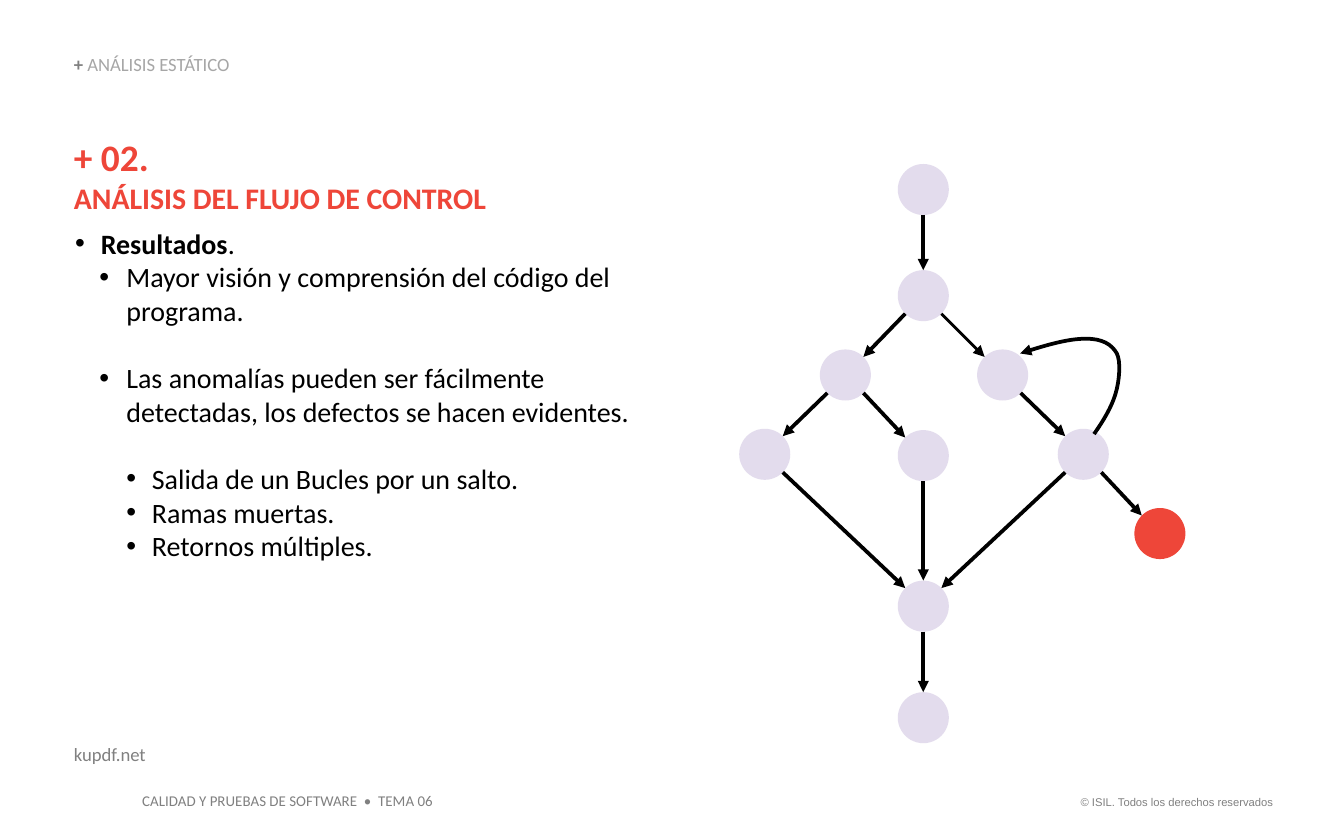
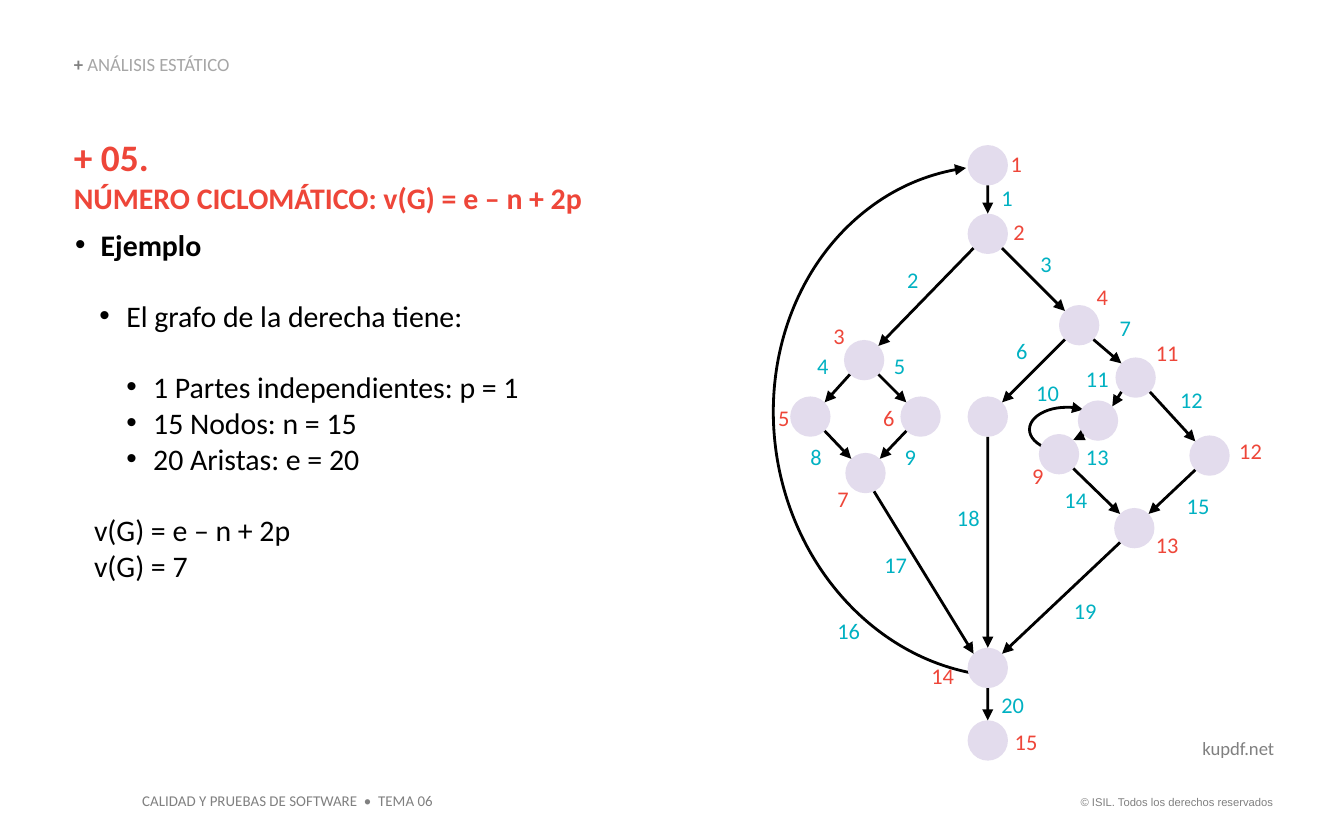
import math
from dataclasses import dataclass
from typing import Any, Optional

from lxml import etree
from pptx import Presentation
from pptx.dml.color import RGBColor
from pptx.enum.shapes import MSO_CONNECTOR, MSO_SHAPE
from pptx.enum.text import MSO_ANCHOR, MSO_AUTO_SIZE, PP_ALIGN
from pptx.oxml.ns import qn
from pptx.util import Inches, Pt

STRAIGHT = MSO_CONNECTOR.STRAIGHT
ELLIPSE, ARC = MSO_SHAPE.OVAL, MSO_SHAPE.ARC
LEFT, RIGHT = PP_ALIGN.LEFT, PP_ALIGN.RIGHT
TOP, BOTTOM = MSO_ANCHOR.TOP, MSO_ANCHOR.BOTTOM
GROW = MSO_AUTO_SIZE.SHAPE_TO_FIT_TEXT

COLORS = {
    "accent": "EE4639",
    "edge_label": "00B1C2",
    "node": "E3DCED",
    "ink": "000000",
    "gray": "808080",
    "light_gray": "A6A6A6",
}
FONT = "Calibri"
MARGIN = 0.55
DOWN, DOWN_LEFT, DOWN_RIGHT, UP = 90, 135, 45, 270  # degrees, clockwise from the right


@dataclass
class Item:
    """A body paragraph; gap is the space before it in points."""
    text: str
    level: int = 0
    margin: float = 0.2
    indent: float = -0.19
    gap: float = 0
    bold: bool = False
    tail: str = ""
    bullet: bool = True


@dataclass
class Node:
    x: float
    y: float
    color: str = "node"


@dataclass
class Edge:
    """An arrow that leaves and reaches circles at the given angles."""
    source: int
    target: int
    leave: float
    arrive: Optional[float] = None
    width: Optional[float] = None


@dataclass
class Arc:
    left: float
    top: float
    width: float
    height: float
    rotation: float
    start: float
    end: float


def rgb(name: str) -> RGBColor:
    return RGBColor.from_string(COLORS[name])


def apply(target: Any, values: dict[str, Any]) -> None:
    for name, value in values.items():
        setattr(target, name, value)


def add_run(paragraph: Any, text: str, size: float, color: str,
            bold: bool = False, font: str = FONT) -> None:
    run = paragraph.add_run()
    run.text = text
    apply(run.font, {"name": font, "size": Pt(size), "bold": bold})
    run.font.color.rgb = rgb(color)


def add_box(slide: Any, left: float, top: float, width: float, height: float,
            wrap: bool = True, align: Any = LEFT, anchor: Any = TOP) -> Any:
    """Adds a text box and returns its text frame; only wrapping boxes lose their insets."""
    box = slide.shapes.add_textbox(Inches(left), Inches(top), Inches(width), Inches(height))
    frame = box.text_frame
    apply(frame, {"word_wrap": wrap, "auto_size": GROW, "vertical_anchor": anchor})
    if wrap:
        apply(frame, {f"margin_{side}": 0 for side in ("left", "top", "right", "bottom")})
    frame.paragraphs[0].alignment = align
    return frame


def add_frame(slide: Any) -> None:
    """Adds the heading and footers that every slide carries."""
    legal = add_box(slide, 7.88, 5.87, 1.69, 0.2, wrap=False, align=RIGHT)
    add_run(legal.paragraphs[0], "© ISIL. Todos los derechos reservados", 6, "gray", font="Arial")
    course = add_box(slide, 0.96, 5.84, 2.37, 0.24, wrap=False)
    add_run(course.paragraphs[0], "CALIDAD Y PRUEBAS DE SOFTWARE  •  TEMA 06", 8, "gray")
    heading = add_box(slide, MARGIN, 0.41, 3.61, 0.15, anchor=BOTTOM).paragraphs[0]
    heading.line_spacing = 0.9
    add_run(heading, "+ ", 10, "gray", bold=True)
    add_run(heading, "ANÁLISIS ESTÁTICO", 10, "light_gray")


def add_reference(slide: Any, left: float, top: float, width: float, align: Any) -> None:
    frame = add_box(slide, left, top, width, 0.17, align=align)
    add_run(frame.paragraphs[0], "kupdf.net", 10, "gray")


def add_bullet(properties: Any) -> None:
    color = etree.SubElement(properties, qn("a:buClr"))
    etree.SubElement(color, qn("a:srgbClr"), val=COLORS["ink"])
    etree.SubElement(properties, qn("a:buFont"), typeface="Arial")
    etree.SubElement(properties, qn("a:buChar"), char="•")


def add_body(slide: Any, number: str, title: str, items: list[Item],
             size: float, width: float, height: float) -> None:
    frame = add_box(slide, MARGIN, 1, width, height)
    paragraph = frame.paragraphs[0]
    paragraph.space_after = Pt(6)
    add_run(paragraph, f"+ {number}.", 20, "accent", bold=True)
    paragraph.add_line_break()
    add_run(paragraph, title, 16, "accent", bold=True)
    for item in items:
        paragraph = frame.add_paragraph()
        apply(paragraph, {"level": item.level, "space_before": Pt(item.gap)})
        properties = paragraph._p.get_or_add_pPr()
        properties.set("marL", str(Inches(item.margin)))
        properties.set("indent", str(Inches(item.indent)))
        if item.bullet:
            add_bullet(properties)
        add_run(paragraph, item.text, size, "ink", bold=item.bold)
        if item.tail:
            add_run(paragraph, item.tail, size, "ink")


def style_arrow(shape: Any, width: float) -> None:
    shape.line.width = Pt(width)
    shape.line.color.rgb = rgb("ink")
    etree.SubElement(shape.line._get_or_add_ln(), qn("a:tailEnd"), type="triangle")


def add_graph(slide: Any, nodes: dict[int, Node], edges: list[Edge],
              diameter: float, width: float) -> None:
    radius = diameter / 2
    circles = {}
    for number, node in nodes.items():
        circle = slide.shapes.add_shape(
            ELLIPSE, Inches(node.x - radius), Inches(node.y - radius),
            Inches(diameter), Inches(diameter))
        circle.shadow.inherit = False
        circle.fill.solid()
        circle.fill.fore_color.rgb = rgb(node.color)
        circle.line.fill.background()
        circles[number] = circle

    def rim(number: int, angle: float) -> tuple[int, int]:
        node, turn = nodes[number], math.radians(angle)
        return (Inches(node.x + radius * math.cos(turn)),
                Inches(node.y + radius * math.sin(turn)))

    for edge in edges:
        arrive = edge.leave + 180 if edge.arrive is None else edge.arrive
        connector = slide.shapes.add_connector(
            STRAIGHT, *rim(edge.source, edge.leave), *rim(edge.target, arrive))
        if arrive == UP:
            connector.end_connect(circles[edge.target], 0)
        style_arrow(connector, edge.width or width)
        etree.SubElement(connector._element.spPr, qn("a:effectLst"))


def add_curve(slide: Any, points: list[tuple[float, float]], width: float) -> None:
    """Draws a cubic Bézier path: a start, then three points per segment."""
    start, *rest = [(Inches(x), Inches(y)) for x, y in points]
    builder = slide.shapes.build_freeform(*start)
    builder.add_line_segments(rest, close=False)
    curve = builder.convert_to_shape()
    outline = curve._element.spPr.find(".//" + qn("a:path"))
    segments = outline.findall(qn("a:lnTo"))
    for first in range(0, len(segments), 3):
        cubic = etree.SubElement(outline, qn("a:cubicBezTo"))
        for segment in segments[first:first + 3]:
            cubic.append(segment[0])
            outline.remove(segment)
    curve.shadow.inherit = False
    curve.fill.background()
    style_arrow(curve, width)


def add_arc(slide: Any, arc: Arc, width: float) -> None:
    shape = slide.shapes.add_shape(
        ARC, Inches(arc.left), Inches(arc.top), Inches(arc.width), Inches(arc.height))
    shape.rotation = arc.rotation
    shape.adjustments[0] = arc.start
    shape.adjustments[1] = arc.end
    shape.shadow.inherit = False
    shape.fill.background()
    style_arrow(shape, width)


def add_labels(slide: Any, labels: dict[int, tuple[float, float]], color: str) -> None:
    for number, (left, top) in labels.items():
        frame = add_box(slide, left, top, 0.18, 0.2)
        add_run(frame.paragraphs[0], str(number), 12, color)


def build_control_flow(slide: Any) -> None:
    add_frame(slide)
    second = {"level": 1, "margin": 0.39, "indent": -0.2}
    third = {"level": 2, "margin": 0.58}
    add_body(slide, "02", "ANÁLISIS DEL FLUJO DE CONTROL", [
        Item("Resultados", bold=True, tail="."),
        Item("Mayor visión y comprensión del código del programa.", **second),
        Item("Las anomalías pueden ser fácilmente detectadas, los defectos se hacen evidentes.",
             gap=18, **second),
        Item("Salida de un Bucles por un salto.", gap=18, **third),
        Item("Ramas muertas.", **third),
        Item("Retornos múltiples.", **third),
    ], size=15, width=4.25, height=3.21)
    add_reference(slide, MARGIN, 5.53, 1.88, LEFT)
    axis = 6.87
    nodes = {
        1: Node(axis, 1.41), 2: Node(axis, 2.2), 3: Node(6.29, 2.79), 4: Node(7.46, 2.79),
        5: Node(5.69, 3.38), 6: Node(axis, 3.39), 7: Node(8.06, 3.38),
        8: Node(axis, 4.51), 9: Node(axis, 5.34), 10: Node(8.63, 3.97, "accent"),
    }
    edges = [
        Edge(1, 2, DOWN), Edge(2, 3, DOWN_LEFT), Edge(2, 4, DOWN_RIGHT, width=1.5),
        Edge(3, 5, DOWN_LEFT), Edge(3, 6, DOWN_RIGHT), Edge(4, 7, DOWN_RIGHT),
        Edge(5, 8, DOWN_RIGHT), Edge(6, 8, DOWN), Edge(7, 8, DOWN_LEFT),
        Edge(7, 10, DOWN_RIGHT), Edge(8, 9, DOWN),
    ]
    add_graph(slide, nodes, edges, diameter=0.38, width=2)
    add_curve(slide, [
        (8.14, 3.23), (8.21, 3.13), (8.27, 3.03), (8.3, 2.93),
        (8.33, 2.83), (8.34, 2.69), (8.31, 2.63),
        (8.27, 2.56), (8.2, 2.52), (8.08, 2.52),
        (7.96, 2.52), (7.77, 2.57), (7.59, 2.63)], width=2)


def build_cyclomatic_number(slide: Any) -> None:
    add_frame(slide)
    third = {"level": 2, "margin": 0.59, "indent": -0.2}
    formula = {"level": 1, "margin": 0.15, "indent": 0, "bullet": False}
    add_body(slide, "05", "NÚMERO CICLOMÁTICO: v(G) = e – n + 2p", [
        Item("Ejemplo", bold=True),
        Item("El grafo de la derecha tiene:", level=1, margin=0.39, indent=-0.2, gap=19),
        Item("1 Partes independientes: p = 1", gap=19, **third),
        Item("15 Nodos: n = 15", **third),
        Item("20 Aristas: e = 20", **third),
        Item("v(G) = e – n + 2p", gap=19, **formula),
        Item("v(G) = 7", **formula),
    ], size=16, width=4.87, height=3.38)
    add_reference(slide, 8.46, 5.48, 1.02, RIGHT)
    add_arc(slide, Arc(5.55, 1.44, 3.81, 3.39, 260.4, 117.92, 0.92), width=1.5)
    add_arc(slide, Arc(7.77, 2.92, 0.33, 0.55, 270, 129.54, 24.14), width=1.5)
    axis = 7.35
    nodes = {
        1: Node(axis, 1.23), 2: Node(axis, 1.74), 3: Node(6.43, 2.68), 4: Node(8.03, 2.42),
        5: Node(6.03, 3.1), 6: Node(6.85, 3.1), 7: Node(6.44, 3.52), 8: Node(axis, 3.1),
        9: Node(7.88, 3.38), 10: Node(8.17, 3.13), 11: Node(8.45, 2.81),
        12: Node(9, 3.39), 13: Node(8.44, 3.93), 14: Node(axis, 4.97), 15: Node(axis, 5.51),
    }
    edges = [
        Edge(1, 2, DOWN), Edge(2, 3, DOWN_LEFT), Edge(2, 4, DOWN_RIGHT),
        Edge(3, 5, DOWN_LEFT), Edge(3, 6, DOWN_RIGHT), Edge(4, 8, DOWN_LEFT),
        Edge(4, 11, DOWN_RIGHT), Edge(5, 7, DOWN_RIGHT), Edge(6, 7, DOWN_LEFT),
        Edge(11, 10, DOWN_LEFT), Edge(11, 12, DOWN_RIGHT), Edge(10, 9, DOWN_LEFT),
        Edge(9, 13, DOWN_RIGHT), Edge(12, 13, DOWN_LEFT), Edge(7, 14, 65, 225),
        Edge(8, 14, DOWN), Edge(13, 14, DOWN_LEFT), Edge(14, 15, DOWN),
    ]
    add_graph(slide, nodes, edges, diameter=0.3, width=1.5)
    add_labels(slide, {
        1: (7.52, 1.12), 2: (7.54, 1.62), 3: (6.2, 2.4), 4: (8.16, 2.11), 5: (5.79, 3.01),
        6: (6.57, 3.01), 7: (6.23, 3.61), 9: (7.68, 3.44), 11: (8.6, 2.52),
        12: (9.22, 3.25), 13: (8.6, 3.95), 14: (6.93, 4.93), 15: (7.55, 5.42),
    }, "accent")
    add_labels(slide, {
        1: (7.45, 1.37), 2: (6.75, 1.98), 3: (7.74, 1.86), 4: (6.08, 2.62), 5: (6.65, 2.62),
        6: (7.56, 2.51), 7: (8.33, 2.34), 8: (6.03, 3.3), 9: (6.73, 3.3), 10: (7.71, 2.82),
        11: (8.08, 2.72), 12: (8.78, 2.87), 13: (8.08, 3.3), 14: (7.92, 3.62),
        15: (8.83, 3.66), 16: (6.23, 4.59), 17: (6.58, 4.1), 18: (7.12, 3.75),
        19: (7.99, 4.44), 20: (7.45, 5.14),
    }, "edge_label")


def main() -> None:
    presentation = Presentation()
    apply(presentation, {"slide_width": Inches(10), "slide_height": Inches(6.25)})
    blank = presentation.slide_layouts[6]
    for build in (build_control_flow, build_cyclomatic_number):
        build(presentation.slides.add_slide(blank))
    presentation.save("out.pptx")


if __name__ == "__main__":
    main()
